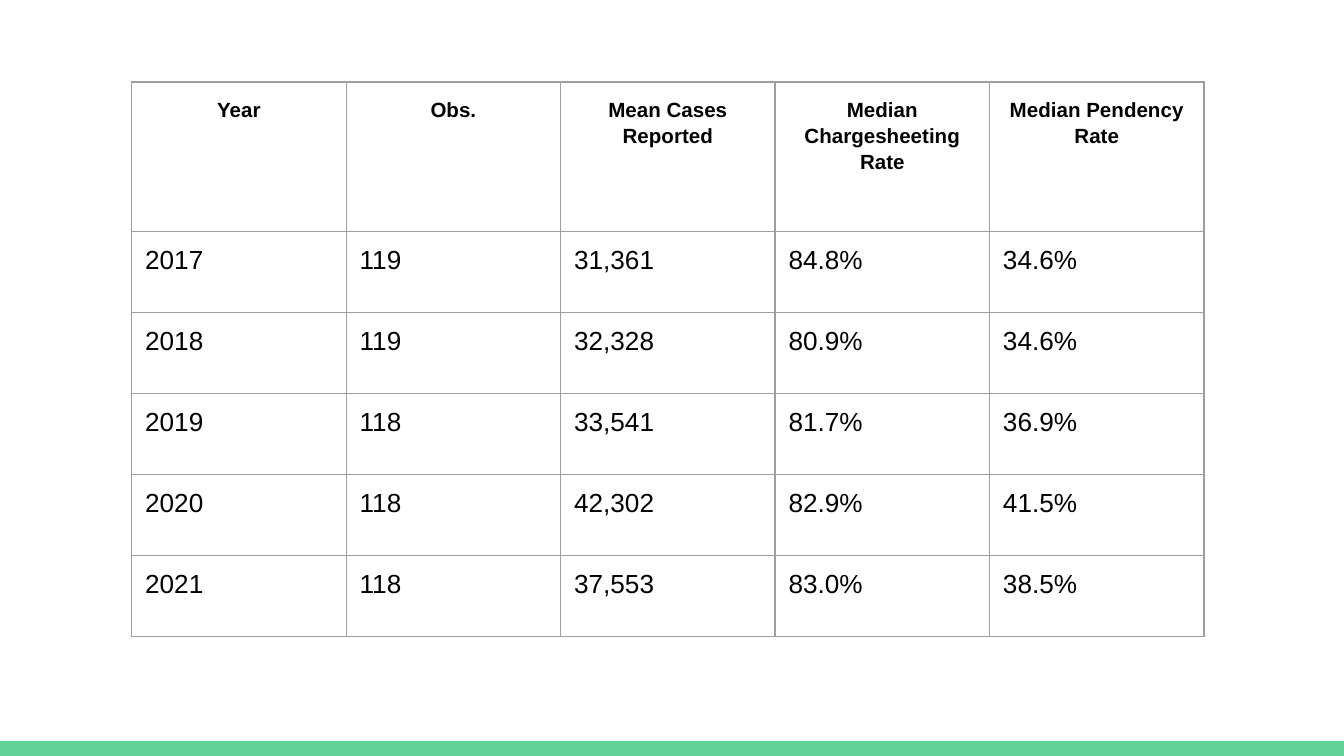
from lxml import etree
from pptx import Presentation
from pptx.dml.color import RGBColor
from pptx.enum.shapes import MSO_SHAPE
from pptx.enum.text import PP_ALIGN
from pptx.oxml.ns import qn
from pptx.util import Inches, Pt

RECT = MSO_SHAPE.RECTANGLE
CENTER = PP_ALIGN.CENTER
LEFT = PP_ALIGN.LEFT
WIDE = 10
HIGH = WIDE * 9 / 16
FONT = "Arial"
INK, PAPER, GREEN, GRAY = "000000", "FFFFFF", "63D297", "9E9E9E"
HEAD = ["Year", "Obs.", "Mean Cases Reported",
        "Median Chargesheeting Rate", "Median Pendency Rate"]
ROWS = [
    ["2017", "119", "31,361", "84.8%", "34.6%"],
    ["2018", "119", "32,328", "80.9%", "34.6%"],
    ["2019", "118", "33,541", "81.7%", "36.9%"],
    ["2020", "118", "42,302", "82.9%", "41.5%"],
    ["2021", "118", "37,553", "83.0%", "38.5%"],
]


def paint(fill, tone):
    """Fill with a solid colour given as a hex string."""
    fill.solid()
    fill.fore_color.rgb = RGBColor.from_string(tone)


def edge(cell, tone, width):
    """Draw a line on all four sides of a cell."""
    props = cell._tc.get_or_add_tcPr()
    for side in ("lnL", "lnR", "lnT", "lnB"):
        line = etree.SubElement(props, qn(f"a:{side}"), w=str(Pt(width)))
        solid = etree.SubElement(line, qn("a:solidFill"))
        etree.SubElement(solid, qn("a:srgbClr"), val=tone)


def write(cell, text, is_head):
    """Put text in a cell and style it as heading or data."""
    cell.text = text
    cell.margin_left = cell.margin_right = Inches(0.1)
    cell.margin_top = cell.margin_bottom = Inches(0.1)
    edge(cell, GRAY, 0.75)
    cell.fill.background()
    para = cell.text_frame.paragraphs[0]
    para.alignment = CENTER if is_head else LEFT
    para.line_spacing = 1.15 if is_head else 1.0
    para.font.name = FONT
    para.font.size = Pt(11 if is_head else 14)
    para.font.bold = is_head
    paint(para.font.fill, INK)


def add_stats(slide, left, top, width, height):
    """Build the yearly table with a tall heading row in the given box."""
    data = [HEAD] + ROWS
    box = [Inches(n) for n in (left, top, width, height)]
    table = slide.shapes.add_table(len(data), len(HEAD), *box).table
    table.first_row = table.horz_banding = False
    for col in table.columns:
        col.width = Inches(width / len(HEAD))
    tall = height * 0.27
    for i, (row, texts) in enumerate(zip(table.rows, data)):
        row.height = Inches(tall if i == 0 else (height - tall) / len(ROWS))
        for cell, text in zip(row.cells, texts):
            write(cell, text, i == 0)


def add_strip(slide, left, top, width, height):
    """Lay the green strip in the given box."""
    box = [Inches(n) for n in (left, top, width, height)]
    strip = slide.shapes.add_shape(RECT, *box)
    strip.shadow.inherit = False
    paint(strip.fill, GREEN)
    strip.line.fill.background()


def main():
    """Build and save the slide."""
    deck = Presentation()
    deck.slide_width, deck.slide_height = Inches(WIDE), Inches(HIGH)
    slide = deck.slides.add_slide(deck.slide_layouts[6])
    paint(slide.background.fill, PAPER)
    strip = HIGH * 0.02
    add_strip(slide, 0, HIGH - strip, WIDE, strip)
    add_stats(slide, WIDE * 0.098, Inches(0.61) / Inches(1), 7.98, 4.13)
    deck.save("out.pptx")


if __name__ == "__main__":
    main()
